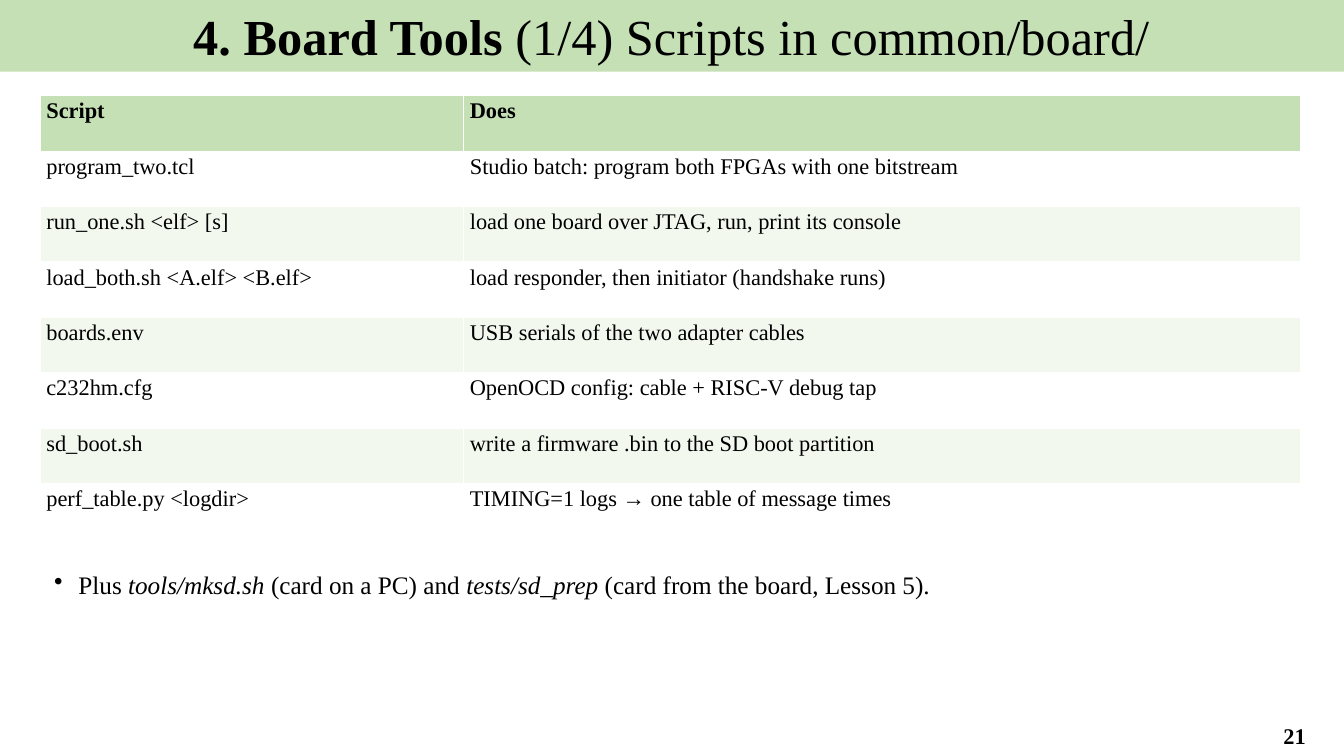
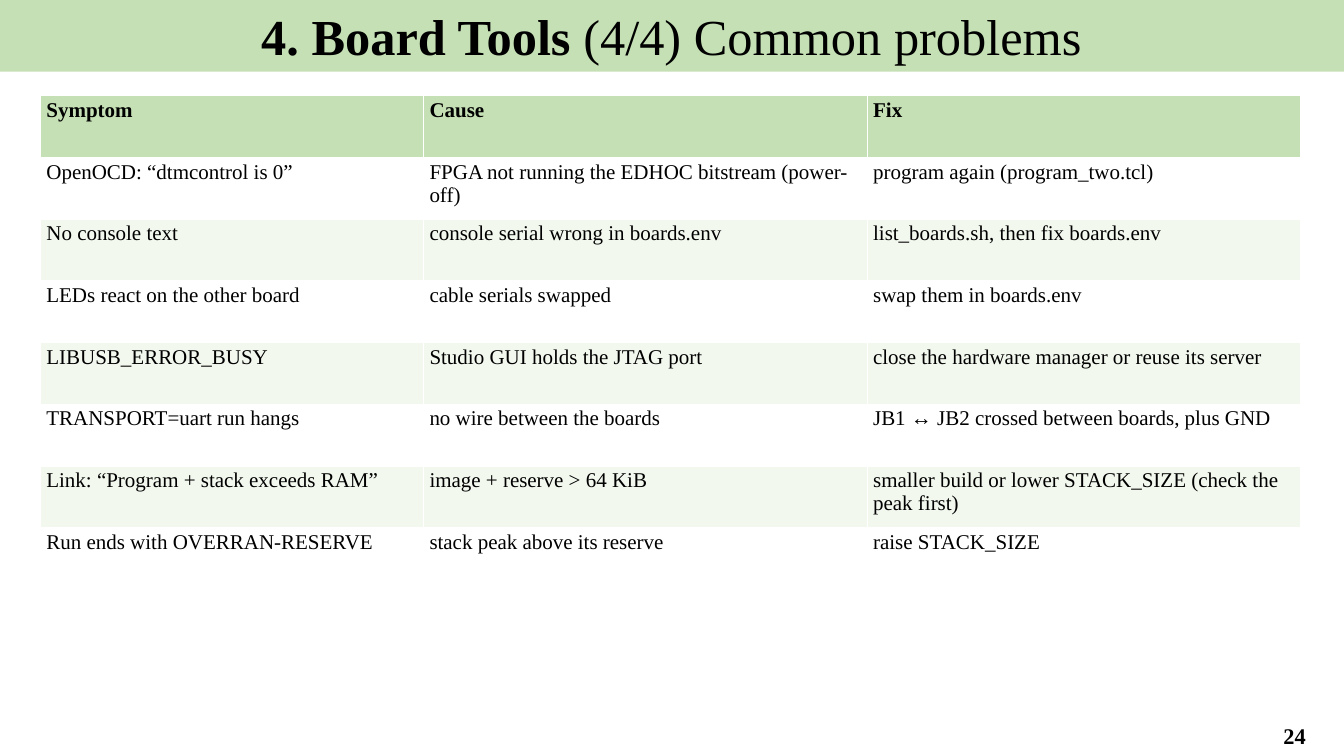
"""Builds the board tools slides: a title band, a banded table and a page number."""
from dataclasses import dataclass

from lxml import etree
from pptx import Presentation
from pptx import util as u
from pptx.dml.color import RGBColor
from pptx.enum import shapes, text
from pptx.oxml.ns import qn


@dataclass(frozen=True)
class Theme:
    """Colours, font and type sizes shared by the slides."""
    font: str = "Times New Roman"
    ink: RGBColor = RGBColor(0x00, 0x00, 0x00)
    band: RGBColor = RGBColor(0xC5, 0xE0, 0xB4)
    stripe: RGBColor = RGBColor(0xF2, 0xF8, 0xEE)
    paper: RGBColor = RGBColor(0xFF, 0xFF, 0xFF)
    title_size: int = 36
    note_size: int = 18
    number_size: int = 16


@dataclass(frozen=True)
class Box:
    """A rectangle on the slide, in inches."""
    left: float
    top: float
    width: float
    height: float

    def place(self):
        """Return left, top, width and height as lengths."""
        return [u.Inches(side) for side in (self.left, self.top, self.width, self.height)]


THEME = Theme()
TITLE_BOX = Box(-0.01, 0, 13.34, 0.71)
NUMBER_BOX = Box(12.35, 7.1, 0.98, 0.39)

SCRIPT_ROWS = [
    ("Script", "Does"),
    ("program_two.tcl", "Studio batch: program both FPGAs with one bitstream"),
    ("run_one.sh <elf> [s]", "load one board over JTAG, run, print its console"),
    ("load_both.sh <A.elf> <B.elf>", "load responder, then initiator (handshake runs)"),
    ("boards.env", "USB serials of the two adapter cables"),
    ("c232hm.cfg", "OpenOCD config: cable + RISC-V debug tap"),
    ("sd_boot.sh", "write a firmware .bin to the SD boot partition"),
    ("perf_table.py <logdir>", "TIMING=1 logs → one table of message times"),
]

PROBLEM_ROWS = [
    ("Symptom", "Cause", "Fix"),
    ("OpenOCD: “dtmcontrol is 0”", "FPGA not running the EDHOC bitstream (power-off)",
     "program again (program_two.tcl)"),
    ("No console text", "console serial wrong in boards.env",
     "list_boards.sh, then fix boards.env"),
    ("LEDs react on the other board", "cable serials swapped", "swap them in boards.env"),
    ("LIBUSB_ERROR_BUSY", "Studio GUI holds the JTAG port",
     "close the hardware manager or reuse its server"),
    ("TRANSPORT=uart run hangs", "no wire between the boards",
     "JB1 ↔ JB2 crossed between boards, plus GND"),
    ("Link: “Program + stack exceeds RAM”", "image + reserve > 64 KiB",
     "smaller build or lower STACK_SIZE (check the peak first)"),
    ("Run ends with OVERRAN-RESERVE", "stack peak above its reserve", "raise STACK_SIZE"),
]

NOTE_RUNS = [
    ("Plus ", False),
    ("tools/mksd.sh", True),
    (" (card on a PC) and ", False),
    ("tests/sd_prep", True),
    (" (card from the board, Lesson 5).", False),
]


def add_run(para, words, size, bold=False, italic=False):
    """Add one styled run to a paragraph."""
    span = para.add_run()
    span.text = words
    span.font.name = THEME.font
    span.font.size = u.Pt(size)
    span.font.color.rgb = THEME.ink
    span.font.bold = bold
    span.font.italic = italic


def add_title(page, box, section, topic):
    """Draw the title band with a bold section and a plain topic."""
    band = page.shapes.add_shape(shapes.MSO_SHAPE.RECTANGLE, *box.place())
    band.shadow.inherit = False
    band.fill.solid()
    band.fill.fore_color.rgb = THEME.band
    band.line.fill.background()
    frame = band.text_frame
    frame.word_wrap = True
    frame.vertical_anchor = text.MSO_ANCHOR.TOP
    para = frame.paragraphs[0]
    para.alignment = text.PP_ALIGN.CENTER
    add_run(para, section, THEME.title_size, bold=True)
    add_run(para, topic, THEME.title_size)


def add_number(page, box, number):
    """Write the page number centred in its box."""
    frame = page.shapes.add_textbox(*box.place()).text_frame
    frame.word_wrap = True
    frame.vertical_anchor = text.MSO_ANCHOR.MIDDLE
    para = frame.paragraphs[0]
    para.alignment = text.PP_ALIGN.CENTER
    add_run(para, str(number), THEME.number_size, bold=True)


def add_grid(page, box, widths, rows, size):
    """Draw a table with a coloured header and striped rows of equal height."""
    grid = page.shapes.add_table(len(rows), len(widths), *box.place()).table
    for column, width in zip(grid.columns, widths):
        column.width = u.Inches(width)
    for index, row in enumerate(rows):
        header = index == 0
        fill = THEME.band if header else (THEME.paper, THEME.stripe)[(index + 1) % 2]
        for cell, words in zip(grid.rows[index].cells, row):
            cell.margin_left = cell.margin_right = u.Inches(0.06)
            cell.margin_top = cell.margin_bottom = u.Inches(0.03)
            cell.fill.solid()
            cell.fill.fore_color.rgb = fill
            add_run(cell.text_frame.paragraphs[0], words, size, bold=header)


def add_note(page, box, runs):
    """Write one bulleted line made of plain and italic runs."""
    frame = page.shapes.add_textbox(*box.place()).text_frame
    frame.word_wrap = True
    para = frame.paragraphs[0]
    para.space_after = u.Pt(4)
    layout = para._p.get_or_add_pPr()
    layout.set("marL", str(u.Inches(0.28)))
    layout.set("indent", str(u.Inches(-0.24)))
    etree.SubElement(layout, qn("a:buChar")).set("char", "•")
    for words, italic in runs:
        add_run(para, words, THEME.note_size, italic=italic)


def add_page(deck, topic, number):
    """Add a blank slide with the shared title band and page number."""
    page = deck.slides.add_slide(deck.slide_layouts[6])
    add_title(page, TITLE_BOX, "4. Board Tools ", topic)
    add_number(page, NUMBER_BOX, number)
    return page


def main():
    """Build both slides and save the deck."""
    deck = Presentation()
    deck.slide_width = u.Inches(13.33)
    deck.slide_height = u.Inches(7.5)

    scripts = add_page(deck, "(1/4) Scripts in common/board/", 21)
    add_grid(scripts, Box(0.4, 0.95, 12.5, 4.4), (4.2, 8.3), SCRIPT_ROWS, 16)
    add_note(scripts, Box(0.4, 5.6, 12.5, 1), NOTE_RUNS)

    problems = add_page(deck, "(4/4) Common problems", 24)
    add_grid(problems, Box(0.4, 0.95, 12.5, 4.9), (3.8, 4.4, 4.3), PROBLEM_ROWS, 15)

    deck.save("out.pptx")


if __name__ == "__main__":
    main()
